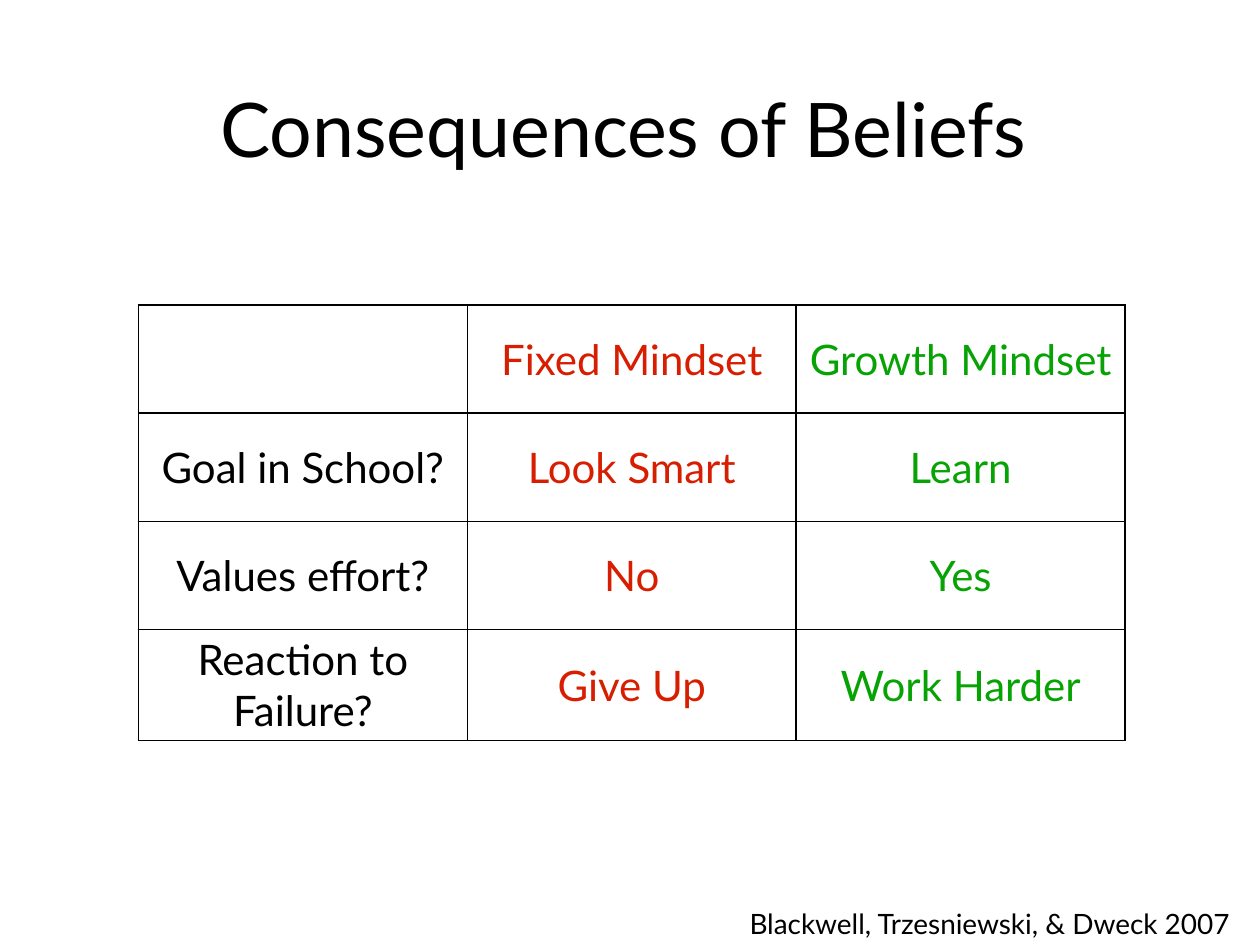
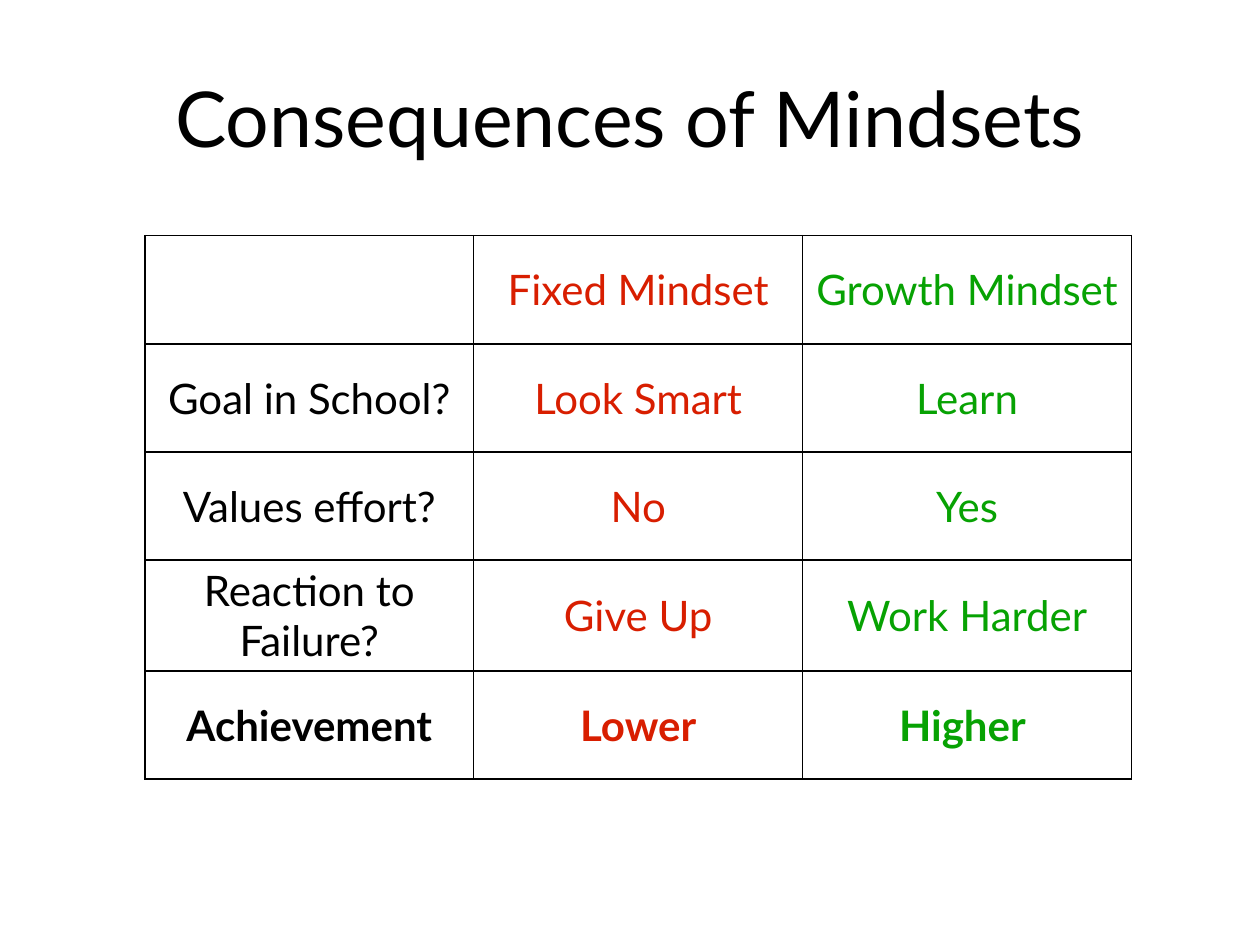
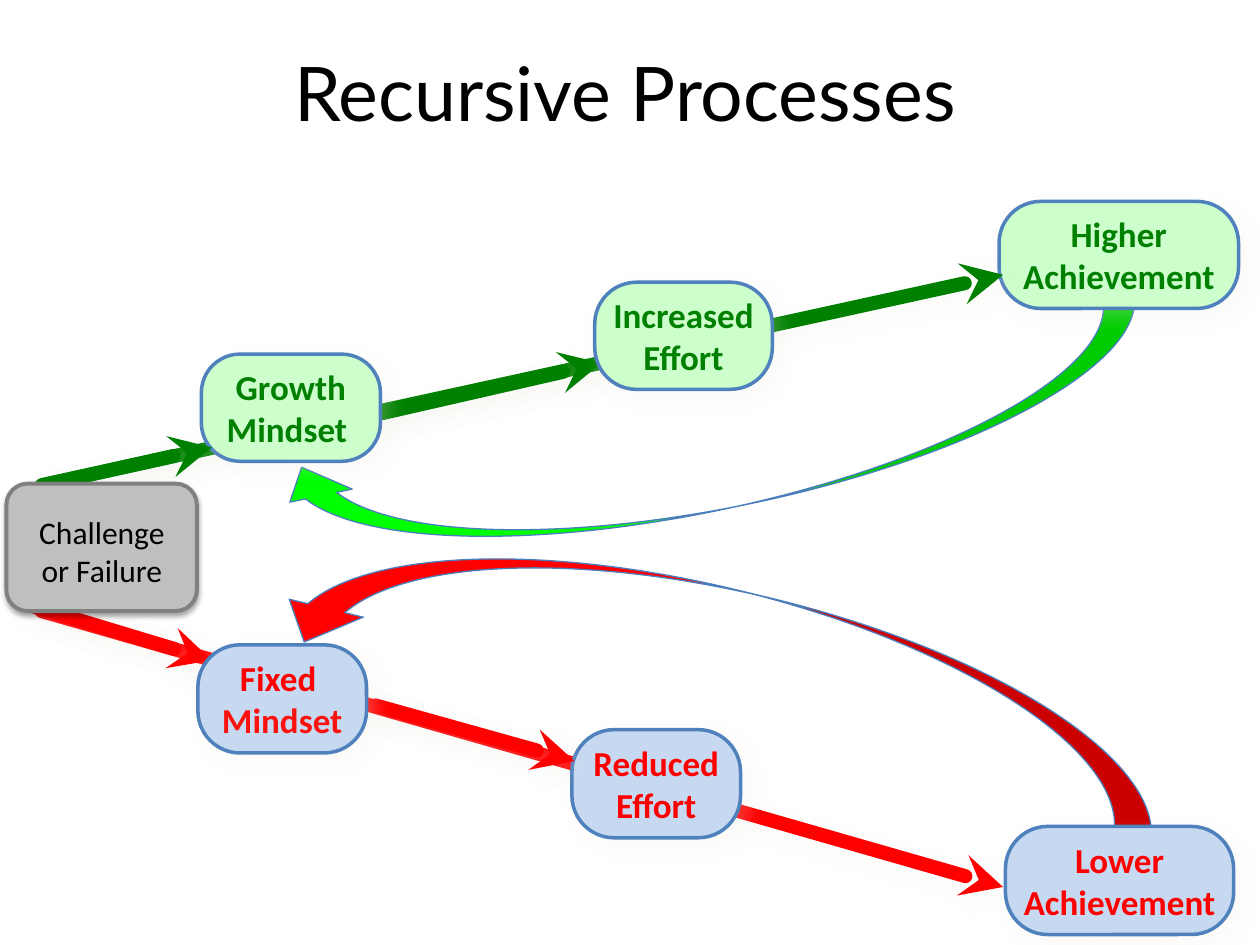
from lxml import etree
from pptx import Presentation
from pptx.dml.color import RGBColor
from pptx.enum.shapes import MSO_CONNECTOR, MSO_SHAPE
from pptx.enum.text import MSO_ANCHOR, PP_ALIGN
from pptx.oxml import parse_xml
from pptx.oxml.ns import nsdecls, qn
from pptx.util import Cm, Pt

LINE = MSO_CONNECTOR.STRAIGHT
ROUND = MSO_SHAPE.ROUNDED_RECTANGLE
RECT = MSO_SHAPE.RECTANGLE
CURVE = MSO_SHAPE.CURVED_LEFT_ARROW
MIDDLE = MSO_ANCHOR.MIDDLE
LEFT, CENTER = PP_ALIGN.LEFT, PP_ALIGN.CENTER

BLACK = RGBColor(0x00, 0x00, 0x00)
BRICK = RGBColor(0xD8, 0x1E, 0x00)
LEAF = RGBColor(0x07, 0xA2, 0x03)
RED = RGBColor(0xFF, 0x00, 0x00)
SCARLET = RGBColor(0xFB, 0x12, 0x0E)
GREEN = RGBColor(0x00, 0x80, 0x00)
LIME = RGBColor(0x00, 0xFF, 0x00)
MINT = RGBColor(0xCC, 0xFF, 0xCC)
SKY = RGBColor(0xC6, 0xD9, 0xF1)
BLUE = RGBColor(0x4F, 0x81, 0xBD)
STEEL = RGBColor(0x4B, 0x7E, 0xBC)
SILVER = RGBColor(0xBF, 0xBF, 0xBF)
GRAY = RGBColor(0x80, 0x80, 0x80)
CREAM = RGBColor(0xEE, 0xEC, 0xE1)

SOFT = (CREAM, 21, 10, 6, 45)
DROP = (BLACK, 35, 3.1, 1.8, 90)
TIGHT = (0.1, 0.1)
WIDE = (0.25, 0.13)

ROWS = [
    ("", "Fixed Mindset", "Growth Mindset"),
    ("Goal in School?", "Look Smart", "Learn"),
    ("Values effort?", "No", "Yes"),
    ("Reaction to Failure?", "Give Up", "Work Harder"),
]
RESULT = ("Achievement", "Lower", "Higher ")


def write(frame, text, size=20, font="Calibri", color=BLACK, bold=False,
          align=CENTER, inset=TIGHT, wrap=True):
    frame.word_wrap = wrap
    frame.vertical_anchor = MIDDLE
    frame.margin_left = frame.margin_right = Cm(inset[0])
    frame.margin_top = frame.margin_bottom = Cm(inset[1])
    fill_text(frame, text, size, font, color, bold, align)


def fill_text(frame, text, size, font, color, bold, align):
    frame.text = text
    for para in frame.paragraphs:
        para.alignment = align
        for item in [para.font] + [run.font for run in para.runs]:
            item.size = Pt(size)
            item.name = font
            item.bold = bold
            item.color.rgb = color


def shade(shape, color, alpha, blur, dist, angle):
    shape._element.spPr.append(parse_xml(
        f'<a:effectLst {nsdecls("a")}><a:outerShdw blurRad="{Pt(blur)}" '
        f'dist="{Pt(dist)}" dir="{angle * 60000}" rotWithShape="0">'
        f'<a:srgbClr val="{color}"><a:alpha val="{alpha * 1000}"/></a:srgbClr>'
        '</a:outerShdw></a:effectLst>'))


def edge(cell):
    props = cell._tc.get_or_add_tcPr()
    for place, side in enumerate(("lnL", "lnR", "lnT", "lnB")):
        props.insert(place, parse_xml(
            f'<a:{side} {nsdecls("a")} w="{Pt(1)}"><a:solidFill>'
            f'<a:srgbClr val="{BLACK}"/></a:solidFill></a:{side}>'))


class Deck:
    font = "Lato"

    def __init__(self):
        self.prs = Presentation()
        self.prs.slide_width, self.prs.slide_height = Cm(25.4), Cm(19.05)

    def start(self, title, left, top, width=22.86, height=3.18, size=43, inset=WIDE):
        self.slide = self.prs.slides.add_slide(self.prs.slide_layouts[5])
        self.shapes = self.slide.shapes
        head = self.shapes.title
        head.left, head.top = Cm(left), Cm(top)
        head.width, head.height = Cm(width), Cm(height)
        write(head.text_frame, title, size=size, font=self.font, inset=inset)

    def note(self, text, left, top, width, height):
        box = self.shapes.add_textbox(Cm(left), Cm(top), Cm(width), Cm(height))
        write(box.text_frame, text, size=16, font=self.font, align=LEFT, wrap=False)

    def table(self, rows, left, top, col=6.63, row=2.18, strong=None):
        table = self.shapes.add_table(
            len(rows), 3, Cm(left), Cm(top), Cm(3 * col), Cm(row * len(rows))).table
        table.first_row = table.horz_banding = False
        for column in table.columns:
            column.width = Cm(col)
        for r, words in enumerate(rows):
            table.rows[r].height = Cm(row)
            for c, (word, color) in enumerate(zip(words, (BLACK, BRICK, LEAF))):
                cell = table.cell(r, c)
                cell.fill.background()
                edge(cell)
                cell.vertical_anchor = MIDDLE
                cell.margin_left = cell.margin_right = Cm(0.1)
                cell.margin_top = cell.margin_bottom = Cm(0.1)
                fill_text(cell.text_frame, word, 24, self.font, color,
                          r == strong, CENTER)

    def block(self, kind, left, top, width, height, fill, line=None, weight=2, glow=None):
        shape = self.shapes.add_shape(kind, Cm(left), Cm(top), Cm(width), Cm(height))
        shape.fill.solid()
        shape.fill.fore_color.rgb = fill
        if line is None:
            shape.line.fill.background()
        else:
            shape.line.color.rgb = line
            shape.line.width = Pt(weight)
        if glow:
            shade(shape, *glow)
        else:
            shape.shadow.inherit = False
        return shape

    def pill(self, text, left, top, width, height, fill, color, bend=0.39):
        shape = self.block(ROUND, left, top, width, height, fill, BLUE, glow=SOFT)
        shape.adjustments[0] = bend
        write(shape.text_frame, text, color=color, bold=True)
        return shape

    def good(self, text, left, top, width, bend=0.39):
        return self.pill(text, left, top, width, 2.16, MINT, GREEN, bend)

    def bad(self, text, left, top, width=3.4):
        return self.pill(text, left, top, width, 2.18, SKY, RED)

    def loop(self, left, top, width, height, fill, turn, flip=False):
        shape = self.block(CURVE, left, top, width, height, fill, STEEL, 0.75)
        shape.rotation = turn
        if flip:
            shape._element.spPr.find(qn("a:xfrm")).set("flipV", "1")

    def arrow(self, x1, y1, x2, y2, color):
        link = self.shapes.add_connector(LINE, Cm(x1), Cm(y1), Cm(x2), Cm(y2))
        link.line.color.rgb = color
        link.line.width = Pt(8)
        line = link.line._get_or_add_ln()
        line.set("cap", "rnd")
        etree.SubElement(line, qn("a:round"))
        etree.SubElement(line, qn("a:tailEnd"), type="stealth")
        shade(link, *SOFT)


def beliefs(deck):
    deck.start("Consequences of Beliefs", 1.73, 0.18, 21.67, 4.78, inset=(0, 0))
    deck.note("Blackwell, Trzesniewski, & Dweck 2007", 15.01, 18.16, 9.96, 0.89)
    deck.table(ROWS, 2.79, 6.15)


def mindsets(deck):
    deck.start("Consequences of Mindsets", 1.27, 0.76, size=44)
    deck.table(ROWS + [RESULT], 2.92, 4.75, strong=len(ROWS))


def cycles(deck):
    deck.start("Recursive Processes", 1.17, 0.25)
    deck.arrow(0.84, 12.32, 20.22, 17.88, RED)
    deck.loop(13.11, 4.27, 3.07, 18.31, RED, 283.6, flip=True)
    deck.arrow(0.56, 12.19, 4.27, 13.31, RED)
    deck.bad("Reduced Effort", 11.53, 14.71)
    deck.bad("Lower Achievement", 20.27, 16.66, 4.6)

    deck.loop(13.13, 0.1, 2.57, 17.78, LIME, 78.2)
    deck.good("Higher Achievement", 20.14, 4.06, 4.83)
    deck.arrow(0.84, 9.78, 20.22, 5.54, GREEN)
    deck.arrow(7.7, 8.33, 12.12, 7.32, GREEN)
    deck.good("Growth Mindset ", 4.06, 7.14, 3.61, bend=0.36)
    deck.arrow(0.86, 9.78, 4.27, 9.02, GREEN)
    deck.good("Increased Effort", 11.99, 5.69, 3.58)

    deck.block(ROUND, 0.13, 9.75, 3.84, 2.57, SILVER, GRAY, 2.25, DROP)
    label = deck.block(RECT, 0.3, 10.21, 3.51, 1.8, SILVER)
    write(label.text_frame, "Challenge or Failure", size=18, inset=WIDE)

    deck.arrow(7.57, 14.22, 11.58, 15.34, RED)
    fixed = deck.bad("Fixed \nMindset", 3.99, 13)
    fixed.text_frame.paragraphs[1].runs[0].font.color.rgb = SCARLET


def main():
    deck = Deck()
    beliefs(deck)
    mindsets(deck)
    cycles(deck)
    deck.prs.save("out.pptx")


if __name__ == "__main__":
    main()
